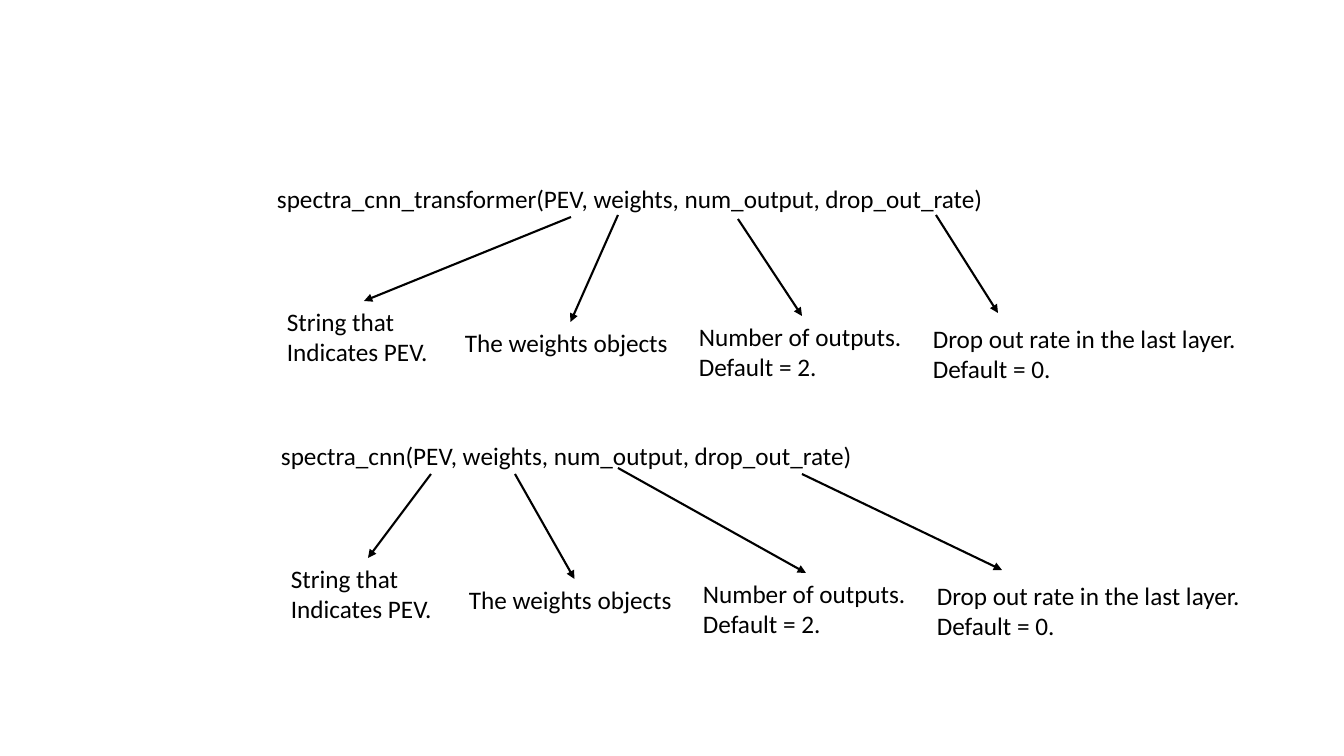
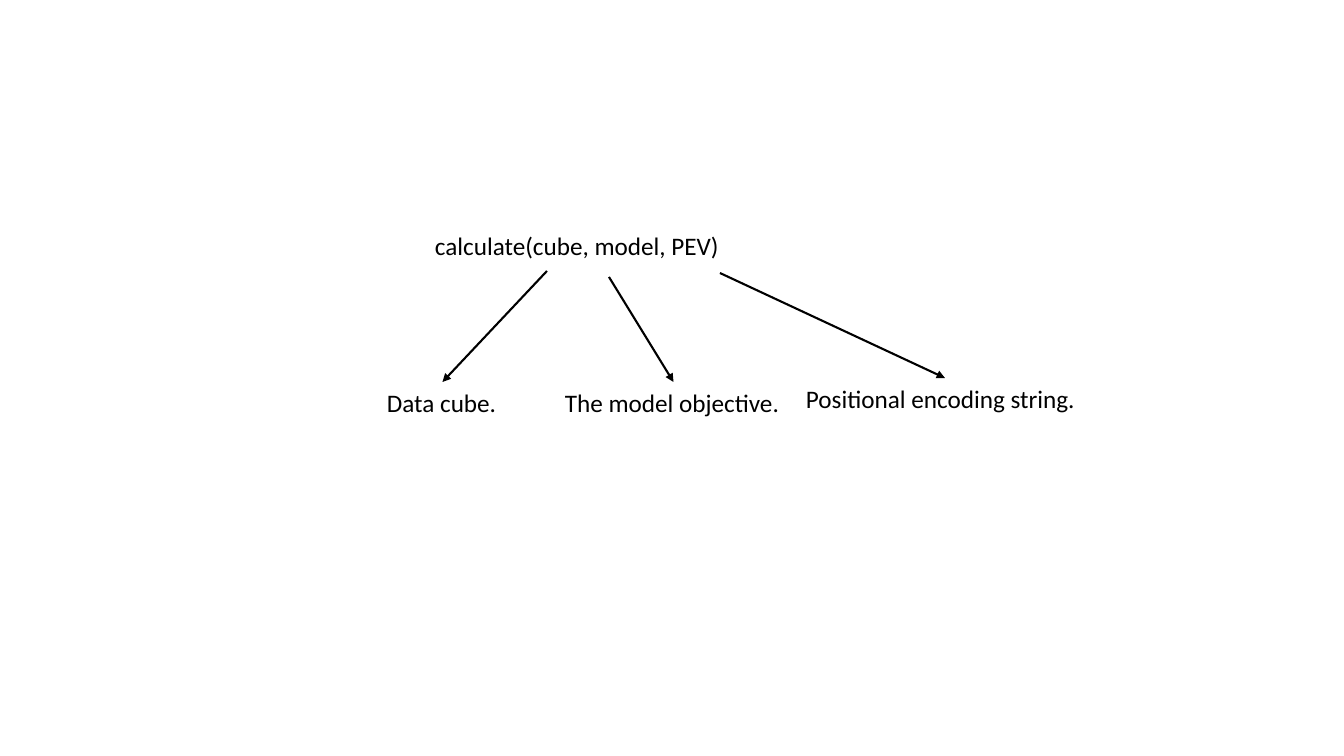
from dataclasses import dataclass

from lxml import etree
from pptx import Presentation, util as u
from pptx.dml.color import RGBColor
from pptx.enum import shapes, text
from pptx.oxml import ns

PIXEL = 914400 / 100.8


@dataclass(frozen=True)
class Theme:
    """Colours, type and line sizes shared by the slides."""
    ink: RGBColor = RGBColor(0, 0, 0)
    font: str = "Calibri"
    size: u.Pt = u.Pt(18)
    line: u.Pt = u.Pt(1.5)
    line_height: int = 40
    two_line_height: int = 71


@dataclass(frozen=True)
class Note:
    """An explanation, placed relative to its diagram; tip is the arrow's end within it."""
    left: int
    top: int
    width: int
    lines: tuple
    tip: tuple = None


THEME = Theme()

LAYER_NOTES = (
    Note(10, 123, 174, ("String that", "Indicates PEV.")),
    Note(188, 144, 231, ("The weights objects",)),
    Note(422, 138, 226, ("Number of outputs.", "Default = 2.")),
    Note(656, 140, 327, ("Drop out rate in the last layer.", "Default = 0."), (75, -5)),
)
CALCULATE_NOTES = (
    Note(-48, 157, 131, ("Data cube.",)),
    Note(130, 157, 237, ("The model objective.",)),
    Note(371, 153, 298, ("Positional encoding string.",)),
)

# Each diagram: box (left, top, width), call, notes, arrow starts within the box
SLIDES = (
    (
        ((267, 178, 847), "spectra_cnn_transformer(PEV, weights, num_output, drop_out_rate)",
         LAYER_NOTES, ((304, 39), (351, 37), (471, 41), (669, 37))),
        ((271, 435, 847), "spectra_cnn(PEV, weights, num_output, drop_out_rate)",
         LAYER_NOTES, ((160, 39), (244, 39), (347, 33), (531, 39))),
    ),
    (
        ((425, 225, 672), "calculate(cube, model, PEV)",
         CALCULATE_NOTES, ((122, 46), (184, 52), (295, 48))),
    ),
)


def emu(*pixels):
    """Turn pixel lengths into EMU."""
    return [u.Emu(round(pixel * PIXEL)) for pixel in pixels]


def add_label(slide, left, top, width, lines):
    """Add a text box with one paragraph per line."""
    height = THEME.line_height if len(lines) == 1 else THEME.two_line_height
    frame = slide.shapes.add_textbox(*emu(left, top, width, height)).text_frame
    frame.word_wrap = True
    frame.auto_size = text.MSO_AUTO_SIZE.SHAPE_TO_FIT_TEXT
    frame.text = "\n".join(lines)
    for paragraph in frame.paragraphs:
        for run in paragraph.runs:
            run.font.name = THEME.font
            run.font.size = THEME.size
            run.font.color.rgb = THEME.ink


def add_arrow(slide, start, end):
    """Add a straight line with a triangle at its end."""
    arrow = slide.shapes.add_connector(shapes.MSO_CONNECTOR.STRAIGHT, *emu(*start, *end))
    arrow.line.color.rgb = THEME.ink
    arrow.line.width = THEME.line
    etree.SubElement(arrow.line._get_or_add_ln(), ns.qn("a:tailEnd"), type="triangle")
    etree.SubElement(arrow._element.spPr, ns.qn("a:effectLst"))


def add_call_diagram(slide, box, call, notes, starts):
    """Write a function call and point from its arguments to their notes."""
    left, top, width = box
    add_label(slide, left, top, width, (call,))
    for note, (start_x, start_y) in zip(notes, starts):
        note_left, note_top = left + note.left, top + note.top
        tip_x, tip_y = note.tip or (note.width / 2, 0)
        add_label(slide, note_left, note_top, note.width, note.lines)
        add_arrow(slide, (left + start_x, top + start_y),
                  (note_left + tip_x, note_top + tip_y))


def main():
    """Build and save the presentation."""
    presentation = Presentation()
    presentation.slide_width, presentation.slide_height = emu(1344, 756)
    for diagrams in SLIDES:
        slide = presentation.slides.add_slide(presentation.slide_layouts[6])
        for diagram in diagrams:
            add_call_diagram(slide, *diagram)
    presentation.save("out.pptx")


main()
